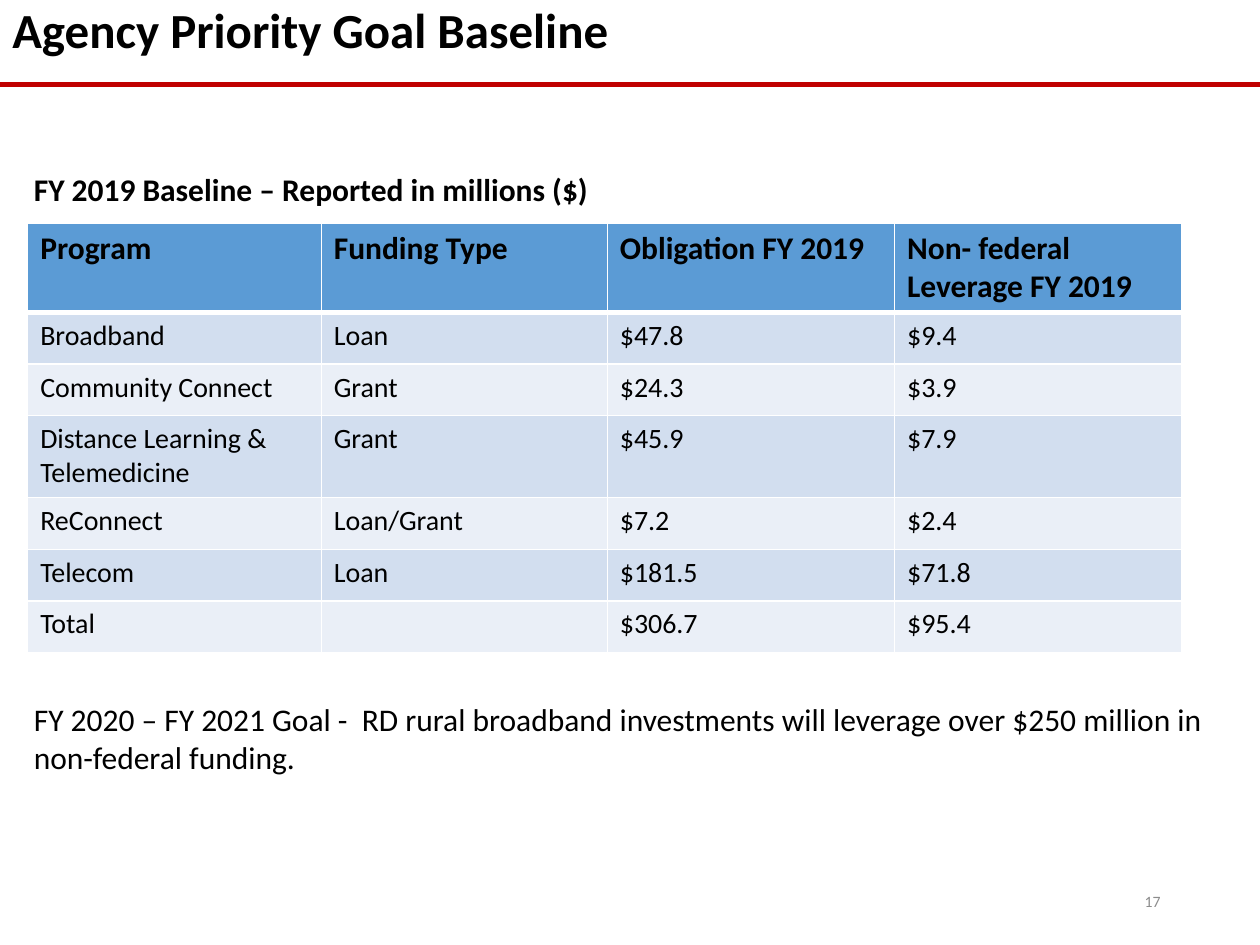
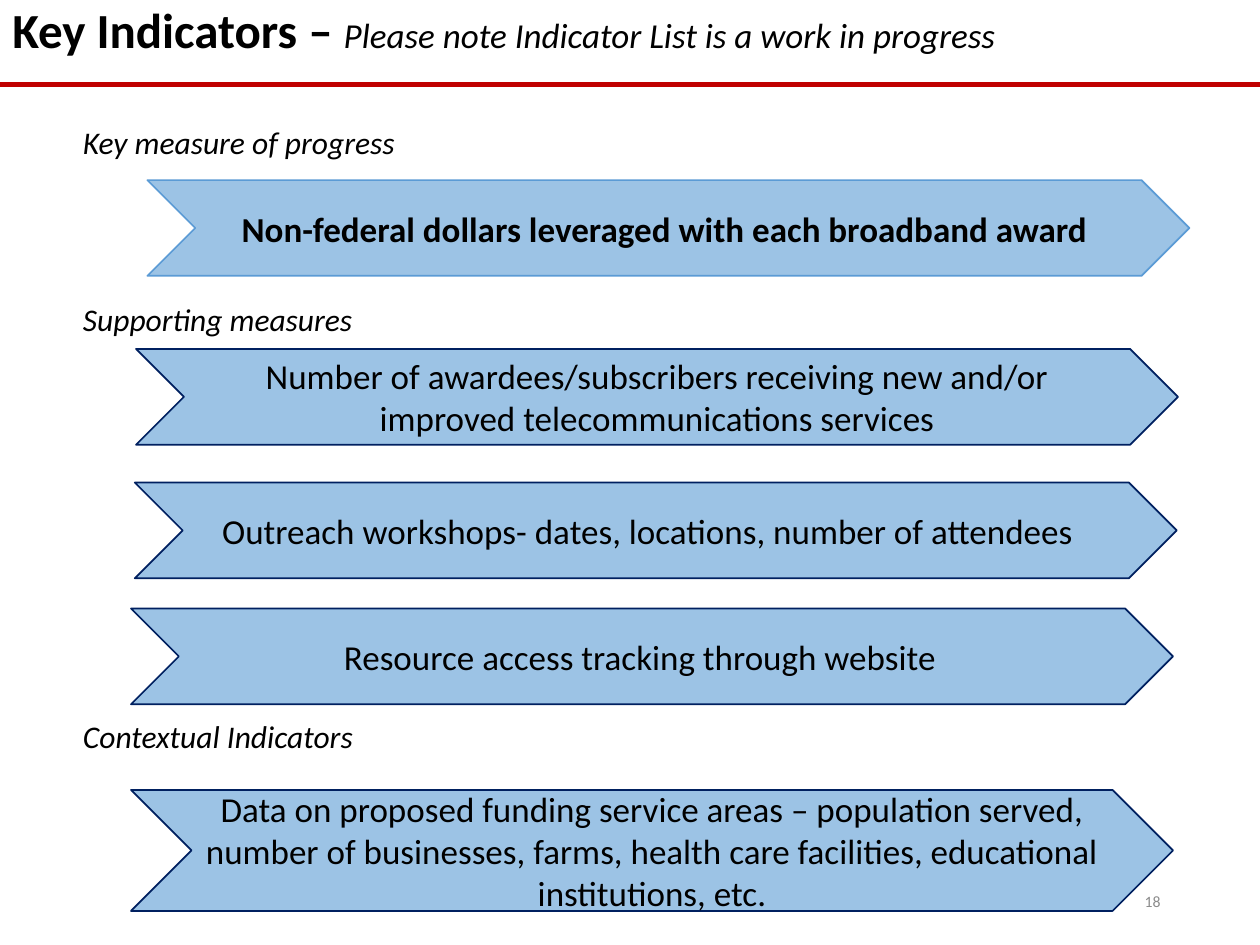
"""Build two slides on a broadband funding goal: its baseline table and its key indicators."""
from lxml import etree
from pptx import Presentation, util as u
from pptx.dml.color import RGBColor
from pptx.enum import shapes, text
from pptx.oxml.ns import qn

FONT = "Calibri"
BLACK, WHITE, GRAY = "000000", "FFFFFF", "8C8C8C"
RED, BLUE, NAVY = "C00000", "5B9BD5", "002060"
BANDS = ["D2DEEF", "EAEFF7"]


def rgb(value):
    return RGBColor.from_string(value)


def style(frame, size, color=BLACK, bold=False, italic=False, align=None):
    frame.word_wrap = True
    for paragraph in frame.paragraphs:
        paragraph.alignment = align
        for run in paragraph.runs:
            font = run.font
            font.name, font.size, font.color.rgb = FONT, u.Pt(size), rgb(color)
            font.bold, font.italic = bold, italic


deck = Presentation()
deck.slide_width, deck.slide_height = u.Inches(10), u.Inches(7.5)

headings = [
    ("Agency Priority Goal Baseline", "", "17"),
    ("Key Indicators – ", "Please note Indicator List is a work in progress", "18"),
]
pages = []
for heading, remark, number in headings:
    page = deck.slides.add_slide(deck.slide_layouts[6])
    pages.append(page)

    title = page.shapes.add_textbox(0, 0, u.Inches(10), u.Inches(0.92)).text_frame
    title.text = heading
    title.paragraphs[0].line_spacing = 0.9
    style(title, 28, bold=True)
    if remark:
        note = title.paragraphs[0].add_run()
        note.text = remark
        note.font.name, note.font.size, note.font.italic = FONT, u.Pt(20), True
        note.font.color.rgb = rgb(BLACK)

    page_number = page.shapes.add_textbox(
        u.Inches(7.06), u.Inches(6.95), u.Inches(2.25), u.Inches(0.4)).text_frame
    page_number.text = number
    page_number.vertical_anchor = text.MSO_ANCHOR.MIDDLE
    style(page_number, 9, GRAY, align=text.PP_ALIGN.RIGHT)

    rule = page.shapes.add_connector(
        shapes.MSO_CONNECTOR.STRAIGHT, 0, u.Inches(0.67), u.Inches(10), u.Inches(0.67))
    rule.line.color.rgb, rule.line.width = rgb(RED), u.Pt(3)
    etree.SubElement(rule._element.spPr, qn("a:effectLst"))

baseline, indicators = pages

captions = [
    (baseline, 0.17, 1.3, 0.4, "FY 2019 Baseline – Reported in millions ($)", True, False),
    (baseline, 0.17, 5.51, 0.7, "FY 2020 – FY 2021 Goal -  RD rural broadband investments "
     "will leverage over $250 million in non-federal funding.", False, False),
    (indicators, 0.56, 0.93, 0.4, "Key measure of progress", False, True),
    (indicators, 0.56, 2.33, 0.4, "Supporting measures", False, True),
    (indicators, 0.56, 5.64, 0.4, "Contextual Indicators", False, True),
]
for page, left, top, height, wording, bold, italic in captions:
    caption = page.shapes.add_textbox(
        u.Inches(left), u.Inches(top), u.Inches(9.58), u.Inches(height)).text_frame
    caption.text = wording
    style(caption, 18, bold=bold, italic=italic)

funding = [
    ("Program", "Funding Type", "Obligation FY 2019", "Non- federal\nLeverage FY 2019"),
    ("Broadband", "Loan", "$47.8", "$9.4"),
    ("Community Connect", "Grant", "$24.3", "$3.9"),
    ("Distance Learning & Telemedicine", "Grant", "$45.9", "$7.9"),
    ("ReConnect", "Loan/Grant", "$7.2", "$2.4"),
    ("Telecom", "Loan", "$181.5", "$71.8"),
    ("Total", "", "$306.7", "$95.4"),
]
row_heights = [0.71, 0.41, 0.41, 0.65, 0.41, 0.41, 0.41]
programs = baseline.shapes.add_table(
    len(funding), 4, u.Inches(0.22), u.Inches(1.77),
    u.Inches(9.17), u.Inches(sum(row_heights))).table
for column, width in zip(programs.columns, [2.33, 2.27, 2.28, 2.28]):
    column.width = u.Inches(width)
for r, (values, height) in enumerate(zip(funding, row_heights)):
    programs.rows[r].height = u.Inches(height)
    header = r == 0
    for c, value in enumerate(values):
        cell = programs.cell(r, c)
        cell.text = value
        style(cell.text_frame, 18 if header else 16, bold=header)
        for side in "LRTB":
            thick = (r, side) in [(0, "B"), (1, "T")]
            border = etree.SubElement(cell._tc.get_or_add_tcPr(), qn(f"a:ln{side}"),
                                      w=str(u.Pt(3 if thick else 1)))
            paint = etree.SubElement(border, qn("a:solidFill"))
            etree.SubElement(paint, qn("a:srgbClr"), val=WHITE)
        cell.fill.solid()
        cell.fill.fore_color.rgb = rgb(BLUE if header else BANDS[(r - 1) % 2])

measures = [
    (1.17, 1.43, 0.76, 0.16, BLUE, "Non-federal dollars leveraged with each broadband award"),
    (1.08, 2.77, 0.76, 0.1, NAVY, "Number of awardees/subscribers receiving new and/or "
     "improved telecommunications services"),
    (1.07, 3.83, 0.76, 0.23, NAVY, "Outreach workshops- dates, locations, number of attendees"),
    (1.04, 4.83, 0.76, 0.29, NAVY, "Resource access tracking through website"),
    (1.04, 6.27, 0.96, 0.1, NAVY, "Data on proposed funding service areas – population served, "
     "number of businesses, farms, health care facilities, educational institutions, etc."),
]
for left, top, height, right_inset, outline, wording in measures:
    measure = indicators.shapes.add_shape(
        shapes.MSO_SHAPE.CHEVRON, u.Inches(left), u.Inches(top),
        u.Inches(8.27), u.Inches(height))
    measure.shadow.inherit = False
    measure.fill.solid()
    measure.fill.fore_color.rgb = rgb(BLUE)
    tint = measure._element.spPr.find(qn("a:solidFill"))[0]
    etree.SubElement(tint, qn("a:alpha"), val="60000")
    measure.line.color.rgb, measure.line.width = rgb(outline), u.Pt(1)
    label = measure.text_frame
    label.text = wording
    label.margin_right = u.Inches(right_inset)
    label.vertical_anchor = text.MSO_ANCHOR.MIDDLE
    style(label, 20, bold=outline == BLUE, align=text.PP_ALIGN.CENTER)

deck.save("out.pptx")
